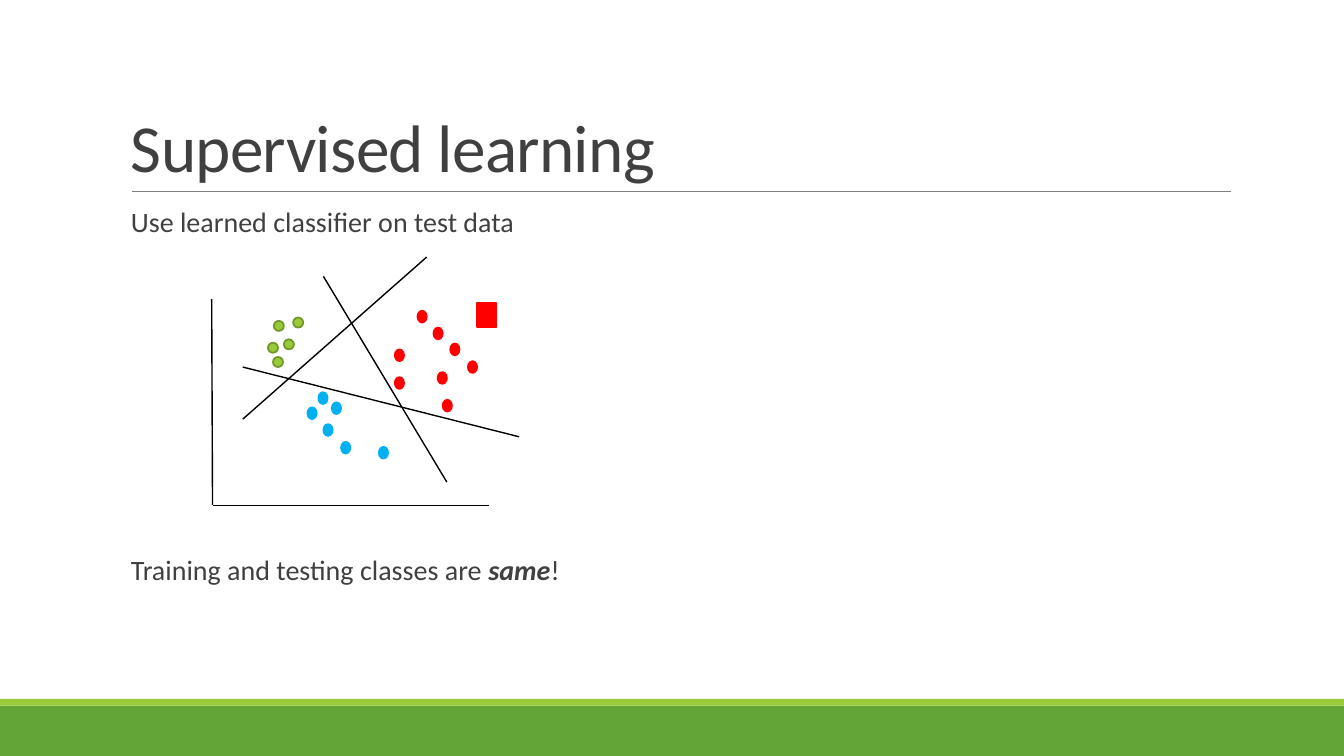
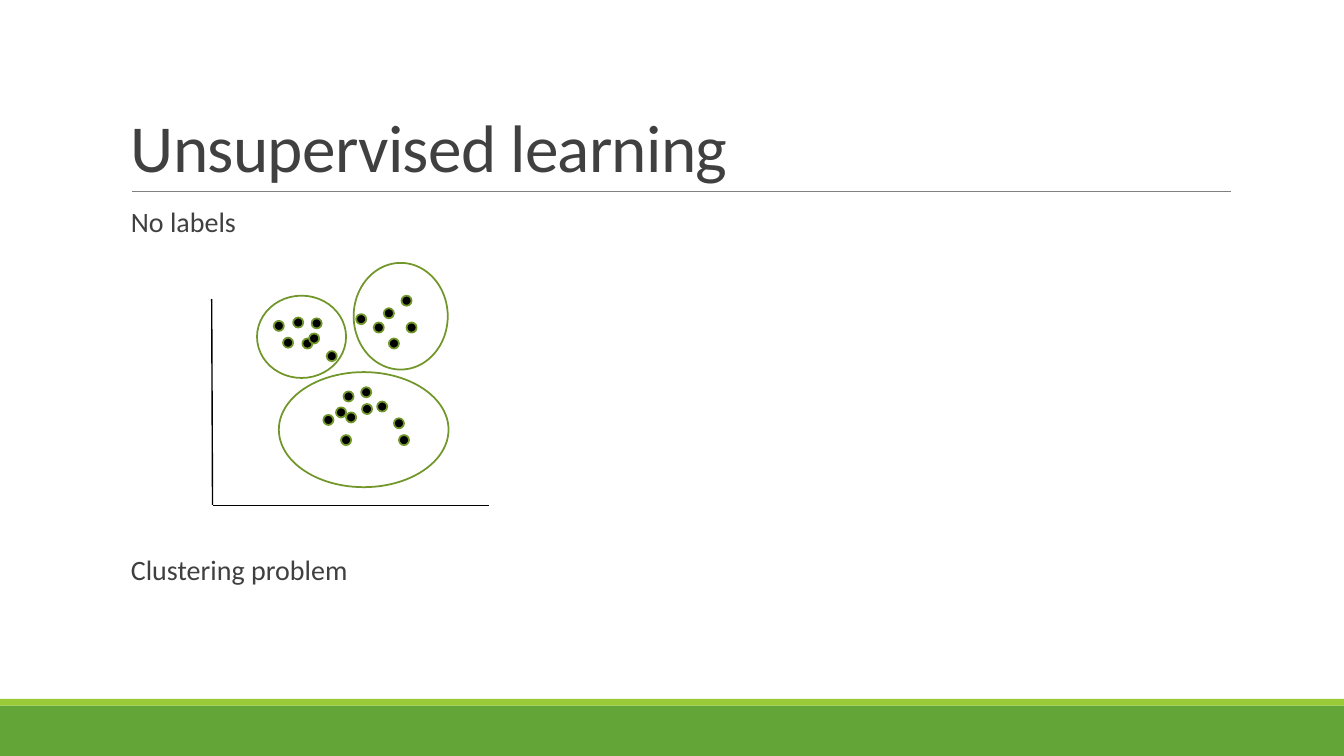
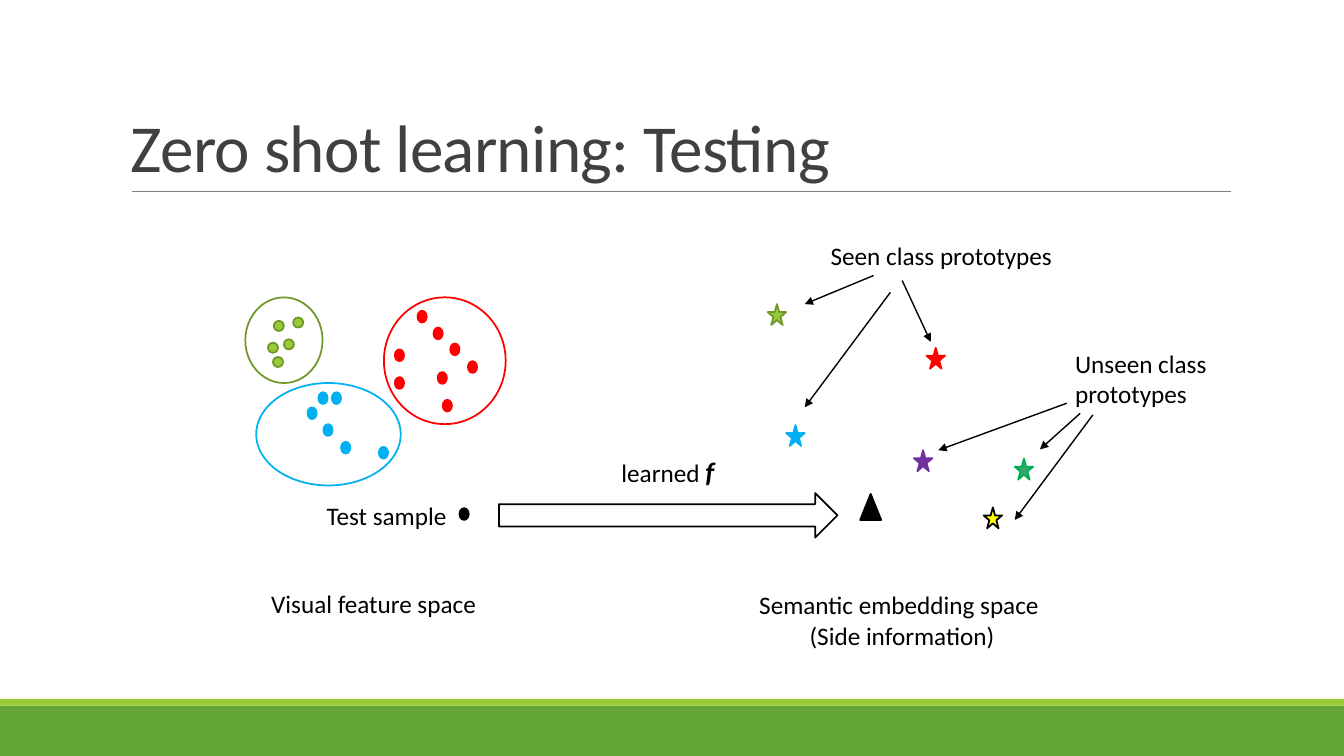
from pptx import Presentation
from pptx.dml.color import RGBColor
from pptx.enum.shapes import MSO_CONNECTOR, MSO_SHAPE as SHAPE
from pptx.enum.text import MSO_ANCHOR
from pptx.oxml.ns import qn
from pptx.util import Inches, Pt
from lxml.etree import SubElement

COLS, ROWS = 160, 90
WIDTH, HEIGHT = Inches(13.333), Inches(7.5)
CELL = HEIGHT / ROWS

FONT = "Calibri"
BLACK = RGBColor(0x00, 0x00, 0x00)
DARK = RGBColor(0x40, 0x40, 0x40)
GRAY = RGBColor(0x80, 0x80, 0x80)
BAND_GREEN = RGBColor(0x63, 0xA5, 0x37)
LIME = RGBColor(0x99, 0xCB, 0x38)
OLIVE = RGBColor(0x71, 0x96, 0x29)
RED = RGBColor(0xFF, 0x00, 0x00)
BLUE = RGBColor(0x00, 0xB0, 0xF0)
PURPLE = RGBColor(0x70, 0x30, 0xA0)
SEA_GREEN = RGBColor(0x37, 0xA7, 0x6F)
GREEN = RGBColor(0x00, 0xB0, 0x50)
YELLOW = RGBColor(0xFF, 0xFF, 0x00)

# Sizes and places are in grid cells, measured from the region's corner.
ROUND_DOT, TALL_DOT, STAR = (1.2, 1.2), (1.1, 1.4), (2.2, 2.5)
GREEN_DOTS = [(6.9, 5.8), (8.8, 5.4), (7.5, 7.5), (9.9, 2.8), (7.6, 3.2)]
RED_DOTS = [(27.7, 12.6), (27.1, 9.3), (24.7, 2), (22, 6.6),
            (22, 9.9), (26.6, 4), (28.6, 5.9), (30.7, 8)]
BLUE_DOTS = [(11.6, 13.5), (13.5, 15.5), (15.6, 17.6), (12.9, 11.7), (20.1, 18.2)]
UNLABELLED_DOTS = [
    (9.9, 2.8), (7.6, 3.2), (8.7, 5.2), (12.1, 2.9), (11, 5.3), (11.8, 4.7),
    (13.9, 6.8), (17.4, 2.4), (20.7, 1.7), (19.5, 3.4), (23.4, 3.4),
    (21.3, 5.3), (22.8, 0.2), (15, 13.5), (15.9, 11.6), (16.2, 14.1),
    (18.1, 13.1), (18, 11.1), (13.5, 14.4), (15.6, 16.8), (19.9, 12.8),
    (21.9, 14.8), (22.5, 16.8)]
PLOT_AT = (25, 35)


class Region:
    """Part of a slide whose contents are placed from its top left cell."""

    def __init__(self, slide, col=0, row=0):
        self.shapes, self.col, self.row = slide.shapes, col, row

    def at(self, x, y):
        return round((self.col + x) * CELL), round((self.row + y) * CELL)

    def box(self, x, y, w, h):
        return *self.at(x, y), round(w * CELL), round(h * CELL)

    def shape(self, kind, box, fill=None, line=None):
        sp = self.shapes.add_shape(kind, *self.box(*box))
        sp.shadow.inherit = False
        if fill is None:
            sp.fill.background()
        else:
            sp.fill.solid()
            sp.fill.fore_color.rgb = fill
        if line is None:
            sp.line.fill.background()
        else:
            sp.line.color.rgb = line
            sp.line.width = Pt(1.25)

    def line(self, start, end, color=BLACK, width=1, arrow=False):
        cxn = self.shapes.add_connector(
            MSO_CONNECTOR.STRAIGHT, *self.at(*start), *self.at(*end))
        cxn.line.color.rgb = color
        cxn.line.width = Pt(width)
        if arrow:
            SubElement(cxn.line._get_or_add_ln(), qn("a:tailEnd"), type="triangle")
        SubElement(cxn._element.spPr, qn("a:effectLst"))

    def text(self, box, *paragraphs, size=18, color=BLACK):
        """Write paragraphs; words between asterisks are bold italic."""
        tf = self.shapes.add_textbox(*self.box(*box)).text_frame
        tf.word_wrap = True
        for i, words in enumerate(paragraphs):
            p = tf.add_paragraph() if i else tf.paragraphs[0]
            p.font.name, p.font.size, p.font.color.rgb = FONT, Pt(size), color
            for j, part in enumerate(words.split("*")):
                r = p.add_run()
                r.text = part
                r.font.name, r.font.size, r.font.color.rgb = FONT, Pt(size), color
                if j % 2:
                    r.font.bold = r.font.italic = True
        return tf

    def dots(self, places, size, fill, line):
        for place in places:
            self.shape(SHAPE.FLOWCHART_CONNECTOR, (*place, *size), fill, line)


def titled_slide(prs, title):
    slide = prs.slides.add_slide(prs.slide_layouts[6])
    page = Region(slide)
    page.shape(SHAPE.RECTANGLE, (0, 84, COLS, 6), BAND_GREEN)
    page.shape(SHAPE.RECTANGLE, (0, 83.2, COLS, 0.8), LIME)
    page.line((15.7, 22.8), (146.5, 22.8), GRAY, 0.5)
    tf = page.text((14.4, 3.7, 132, 19.1), title, size=48, color=DARK)
    tf.vertical_anchor = MSO_ANCHOR.BOTTOM
    p = tf.paragraphs[0]
    p.line_spacing = 0.85
    p.runs[0].font._element.set("spc", "-50")
    return slide


def body(slide, opening, closing):
    """Write one statement above the plot and one below it."""
    tf = Region(slide).text((14.4, 24.2, 132, 52.8), opening, closing,
                            size=20, color=DARK)
    for p in tf.paragraphs:
        p.line_spacing = 0.9
    tf.paragraphs[1].space_before = Pt(227)


def axes(plot):
    plot.line((0.2, 0.6), (0.3, 25.1))
    plot.line((0.4, 25.2), (33.2, 25.2))


def labelled_dots(plot, last_blue):
    plot.dots(GREEN_DOTS, ROUND_DOT, LIME, OLIVE)
    plot.dots(RED_DOTS, TALL_DOT, RED, RED)
    plot.dots(BLUE_DOTS + [last_blue], TALL_DOT, BLUE, BLUE)


def supervised_slide(prs):
    slide = titled_slide(prs, "Supervised learning")
    body(slide, "Use learned classifier on test data",
         "Training and testing classes are *same*!")
    plot = Region(slide, *PLOT_AT)
    axes(plot)
    labelled_dots(plot, (14.5, 12.9))
    for start, end in [((3.9, 14.9), (25.8, -4.4)),
                       ((13.5, -2.1), (28.2, 22.4)),
                       ((3.9, 8.7), (36.8, 17))]:
        plot.line(start, end)
    plot.shape(SHAPE.RECTANGLE, (31.8, 1.1, 2.3, 2.8), RED, RED)


def unsupervised_slide(prs):
    slide = titled_slide(prs, "Unsupervised learning")
    body(slide, "No labels", "Clustering problem")
    plot = Region(slide, *PLOT_AT)
    axes(plot)
    plot.dots(UNLABELLED_DOTS, ROUND_DOT, BLACK, OLIVE)
    for cluster in [(5.6, 0.2, 10.6, 9.8), (17.1, -3.7, 11.2, 12.7),
                    (8.2, 9.3, 20.2, 13.7)]:
        plot.shape(SHAPE.OVAL, cluster, line=OLIVE)


def visual_space(plot):
    labelled_dots(plot, (14.5, 11.7))
    for cluster, color in [((4.2, 0.4, 9.2, 10.2), OLIVE),
                           ((20.7, 0.4, 14.5, 15.1), RED),
                           ((5.5, 10.6, 17.2, 12.2), BLUE)]:
        plot.shape(SHAPE.OVAL, cluster, line=color)
    plot.dots([(29.7, 25.5)], TALL_DOT, BLACK, BLACK)
    plot.text((12.7, 24, 17, 4.8), "Test sample")
    plot.text((6.1, 34.4, 30.4, 4.8), "Visual feature space")


def learned_mapping(region):
    tf = region.text((13.8, 0.5, 22, 5.3), "learned *f*")
    tf.paragraphs[0].runs[1].font.size = Pt(20)
    region.shape(SHAPE.RIGHT_ARROW, (0.4, 5.7, 40.3, 5.3), line=BLACK)


def semantic_space(space):
    for place, fill, line in [
            ((2.4, 8.2), LIME, OLIVE), ((4.6, 22.6), BLUE, BLUE),
            ((21.3, 13.4), RED, RED), ((19.8, 25.6), PURPLE, PURPLE),
            ((31.8, 26.6), SEA_GREEN, GREEN), ((28.1, 32.4), YELLOW, BLACK)]:
        space.shape(SHAPE.STAR_5_POINT, (*place, *STAR), fill, line)
    space.shape(SHAPE.ISOSCELES_TRIANGLE, (13.4, 30.8, 2.5, 3.1), BLACK, BLACK)
    space.text((8.7, 0, 36.6, 4.8), "Seen class prototypes")
    space.text((37.8, 12.9, 32, 8.5), "Unseen class", "prototypes")
    for start, end in [
            ((15, 4.8), (6.8, 8.2)), ((17, 6.8), (6.8, 20.5)),
            ((18.4, 5.4), (21.8, 12.7)), ((39.6, 21.2), (34.8, 25.5)),
            ((38, 20), (22.7, 25.6)), ((41.1, 21.4), (31.8, 33.9))]:
        space.line(start, end, arrow=True)
    tf = space.text((0.2, 41.6, 36.6, 8.5),
                    "Semantic embedding space", "(Side information)")
    tf.paragraphs[1]._p.get_or_add_pPr().set("marL", str(Inches(0.5)))


def zero_shot_slide(prs):
    slide = titled_slide(prs, "Zero shot learning: Testing")
    visual_space(Region(slide, *PLOT_AT))
    learned_mapping(Region(slide, 59, 53))
    semantic_space(Region(slide, 89, 28))


def main():
    prs = Presentation()
    prs.slide_width, prs.slide_height = WIDTH, HEIGHT
    supervised_slide(prs)
    unsupervised_slide(prs)
    zero_shot_slide(prs)
    prs.save("out.pptx")


if __name__ == "__main__":
    main()
